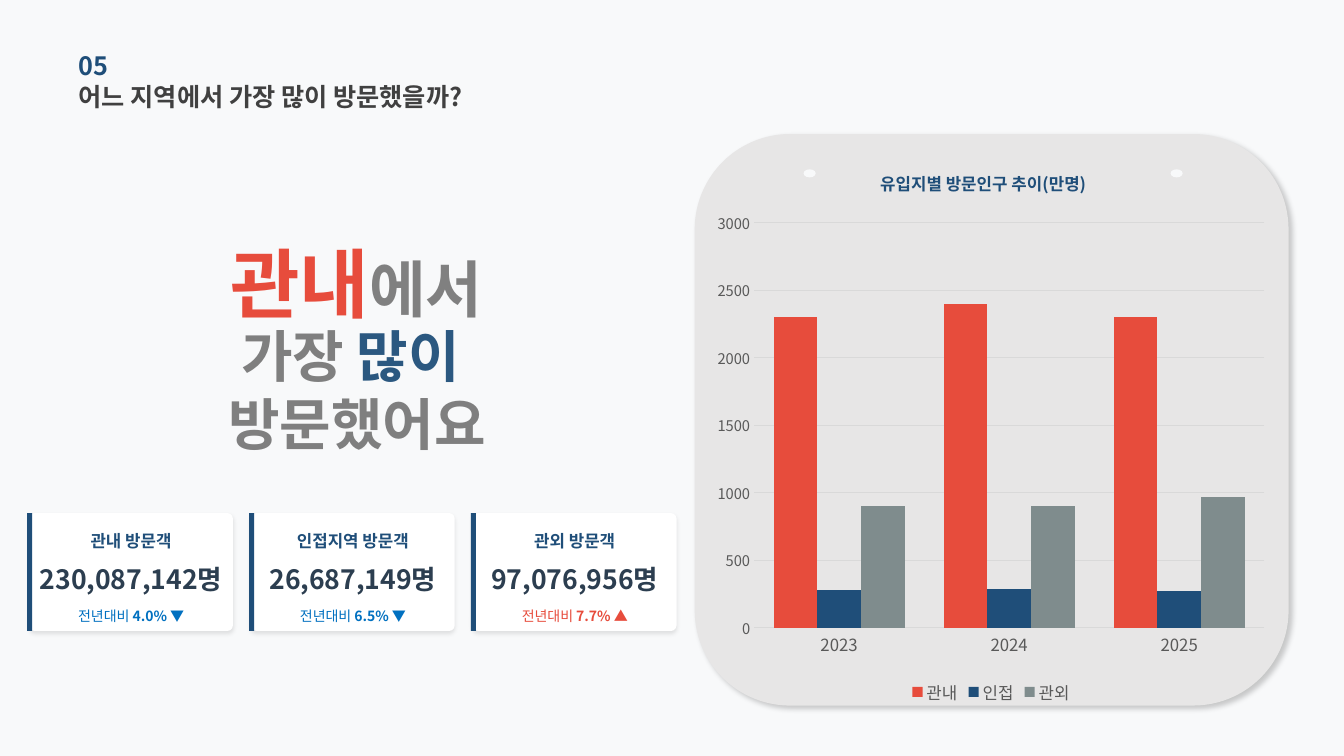
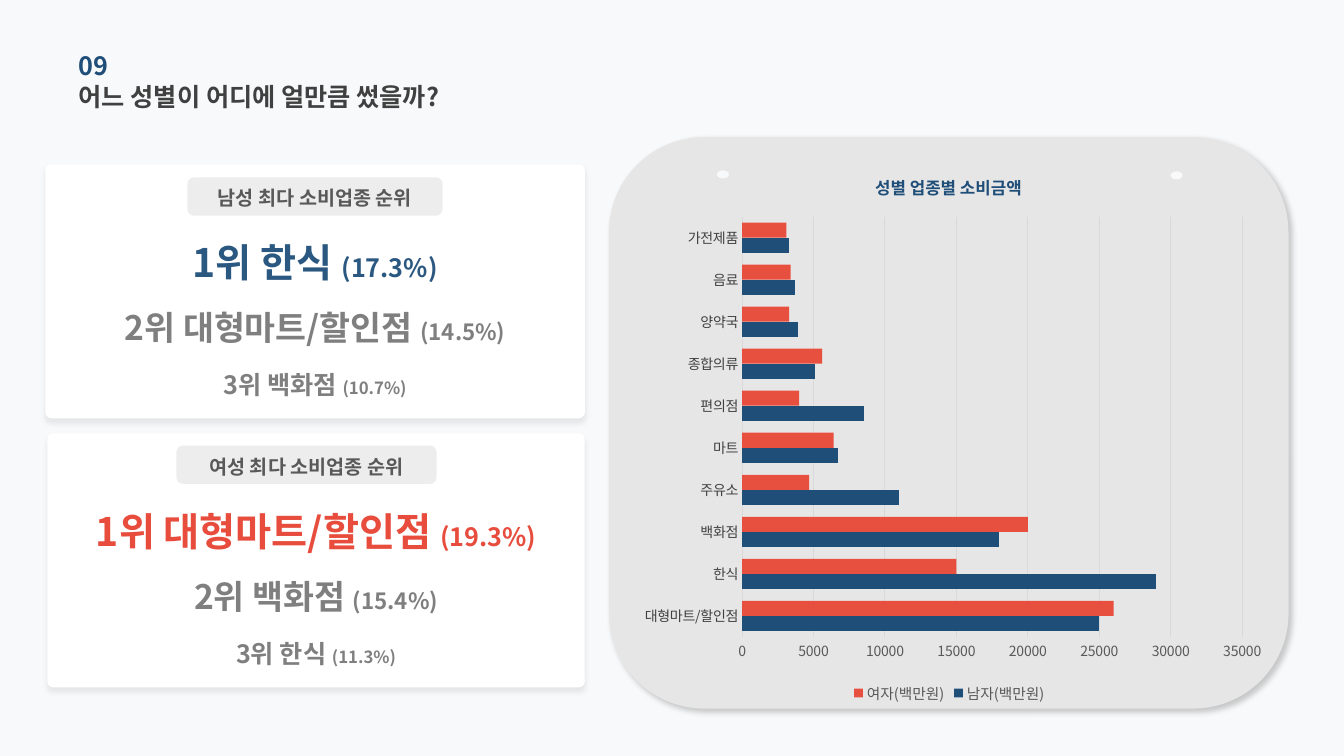
from lxml import etree
from pptx import Presentation
from pptx.chart.data import CategoryChartData
from pptx.dml.color import RGBColor
from pptx.enum.chart import XL_CHART_TYPE as ChartType, XL_LEGEND_POSITION as LegendPosition
from pptx.enum.chart import XL_TICK_MARK as TickMark
from pptx.enum.shapes import MSO_SHAPE as Preset
from pptx.enum.text import MSO_ANCHOR as Anchor, MSO_AUTO_SIZE as AutoSize, PP_ALIGN as Align
from pptx.oxml.ns import qn
from pptx.util import Inches, Pt

FONT = "Noto Sans CJK KR"
PAPER, WHITE, PANEL, PILL = "F8F9FA", "FFFFFF", "E7E6E6", "D0CECE"
NAVY, STEEL, INK, BLUE, RED = "1F4E79", "2B5880", "2C3E50", "0070C0", "E74C3C"
GRAY, MID_GRAY, DARK_GRAY, TITLE_GRAY = "7F7F7F", "808080", "595959", "404040"
SLATE, RULE = "7F8C8D", "D9D9D9"

PANEL_SHADOW = (20, 4, 3, 45)
VISITOR_SHADOW = (10, 3, 2, 90)
RANKING_SHADOW = (8, 4, 3, 90)

VISITORS = [
    ("관내 방문객", "230,087,142명", "4.0% ▼", BLUE),
    ("인접지역 방문객", "26,687,149명", "6.5% ▼", BLUE),
    ("관외 방문객", "97,076,956명", "7.7% ▲", RED),
]
HEADLINE = [
    ((1.39, 2.56, 4.29, 0.48), [[("관내", 54, RED, True), ("에서", 44, MID_GRAY, True)]]),
    ((0.78, 3.44, 5.52, 0.84), [[("가장", 40, GRAY, True), (" 많이 ", 40, STEEL, True)],
                                [("방문했어요", 40, GRAY, True)]]),
]
RANKINGS = [
    {"box": (0.45, 1.63, 5.35, 2.52), "pill": (1.86, 1.76, 2.53, 0.38), "color": STEEL,
     "heading": "남성 최다 소비업종 순위",
     "ranks": [("1위 한식 ", "(17.3%)"), ("2위 대형마트/할인점 ", "(14.5%)"), ("3위 백화점 ", "(10.7%)")]},
    {"box": (0.47, 4.3, 5.33, 2.52), "pill": (1.75, 4.42, 2.58, 0.38), "color": RED,
     "heading": "여성 최다 소비업종 순위",
     "ranks": [("1위 대형마트/할인점 ", "(19.3%)"), ("2위 백화점 ", "(15.4%)"), ("3위 한식 ", "(11.3%)")]},
]
RANK_ROWS = [(0.73, 0.48, 28, 18), (1.19, 0.84, 24, 16), (1.76, 0.84, 18, 12)]

REGION_CHART = {
    "type": ChartType.COLUMN_CLUSTERED, "box": (7, 1.48, 5.66, 5.55),
    "plot": (7.48, 2.21, 5.06, 4.02), "title": "유입지별 방문인구 추이(만명)", "title_at": (8.7, 1.64),
    "gap": 90, "axis": (3000, 500), "category_font": (12, DARK_GRAY), "value_size": 10.5, "legend_size": 12,
    "categories": ["2023", "2024", "2025"],
    "series": [("관내", [2300, 2400, 2300], RED, 100),
               ("인접", [280, 290, 270], NAVY, 100),
               ("관외", [900, 900, 970], SLATE, 100)],
}
SPENDING_CHART = {
    "type": ChartType.BAR_CLUSTERED, "box": (6.19, 1.52, 6.45, 5.5),
    "plot": (7.36, 2.15, 4.96, 4.17), "title": "성별 업종별 소비금액", "title_at": (8.65, 1.68),
    "gap": 80, "axis": (35000, 5000), "category_font": (10, TITLE_GRAY), "value_size": 10, "legend_size": 10.5,
    "categories": ["대형마트/할인점", "한식", "백화점", "주유소", "마트",
                   "편의점", "종합의류", "양약국", "음료", "가전제품"],
    "series": [("남자(백만원)", [25000, 29000, 18000, 11000, 6700, 8500, 5100, 3900, 3700, 3300], NAVY, 100),
               ("여자(백만원)", [26000, 15000, 20000, 4700, 6400, 4000, 5600, 3300, 3400, 3100], RED, 98)],
}


def rgb(color):
    return RGBColor.from_string(color)


def inches(box):
    return [Inches(value) for value in box]


def style_font(font, size, color, bold=False):
    font.size, font.bold, font.name = Pt(size), bold, FONT
    font.color.rgb = rgb(color)
    properties = font._rPr
    for old in properties.findall(qn("a:ea")):
        properties.remove(old)
    east_asian = etree.Element(qn("a:ea"), typeface=FONT)
    properties.find(qn("a:latin")).addnext(east_asian)


def paint(fill, color, opacity=100):
    fill.solid()
    fill.fore_color.rgb = rgb(color)
    if opacity < 100:
        node = fill._xPr.find(qn("a:solidFill"))[0]
        etree.SubElement(node, qn("a:alpha"), val=str(opacity * 1000))


def write(shape, lines, align=Align.CENTER):
    frame = shape.text_frame
    frame.word_wrap, frame.auto_size, frame.vertical_anchor = True, AutoSize.NONE, Anchor.MIDDLE
    frame.margin_left = frame.margin_right = frame.margin_top = frame.margin_bottom = 0
    for index, pieces in enumerate(lines):
        paragraph = frame.add_paragraph() if index else frame.paragraphs[0]
        paragraph.alignment = align
        for text, size, color, bold in pieces:
            run = paragraph.add_run()
            run.text = text
            style_font(run.font, size, color, bold)


def add_text(shapes, box, lines, align=Align.CENTER):
    write(shapes.add_textbox(*inches(box)), lines, align)


def add_block(shapes, preset, box, color, opacity=100, corner=None, shadow=None):
    shape = shapes.add_shape(preset, *inches(box))
    paint(shape.fill, color, opacity)
    shape.line.fill.background()
    shape.shadow.inherit = False
    if corner is not None:
        shape.adjustments[0] = corner
    if shadow:
        strength, blur, distance, direction = shadow
        effects = shape._element.spPr.find(qn("a:effectLst"))
        outer = etree.SubElement(effects, qn("a:outerShdw"), blurRad=str(Pt(blur)), dist=str(Pt(distance)),
                                 dir=str(direction * 60000), algn="ctr", rotWithShape="0")
        black = etree.SubElement(outer, qn("a:srgbClr"), val="000000")
        etree.SubElement(black, qn("a:alpha"), val=str(strength * 1000))
    return shape


def start_slide(presentation, number, title):
    slide = presentation.slides.add_slide(presentation.slide_layouts[5])
    heading = slide.shapes.title
    heading.left, heading.top, heading.width, heading.height = inches((0.78, 0.75, 5.28, 0.41))
    write(heading, [[(title, 18, TITLE_GRAY, True)]], Align.LEFT)
    add_text(slide.shapes, (0.78, 0.44, 4.52, 0.41), [[(number, 18, NAVY, True)]], Align.LEFT)
    return slide


def add_panel(shapes, box, holes):
    add_block(shapes, Preset.ROUNDED_RECTANGLE, box, PANEL, shadow=PANEL_SHADOW)
    for left, top in holes:
        add_block(shapes, Preset.OVAL, (left, top, 0.12, 0.08), PAPER)


def place(parent, position, values, inner=False):
    for old in parent.findall(qn("c:layout")):
        parent.remove(old)
    layout = etree.Element(qn("c:layout"))
    manual = etree.SubElement(layout, qn("c:manualLayout"))
    settings = [("layoutTarget", "inner")] if inner else []
    settings += [("xMode", "edge"), ("yMode", "edge")]
    settings += [(key, f"{value:.4f}") for key, value in zip("xywh", values)]
    for key, value in settings:
        etree.SubElement(manual, qn("c:" + key), val=value)
    parent.insert(position, layout)


def add_chart(shapes, content):
    data = CategoryChartData()
    data.categories = content["categories"]
    for name, values, _, _ in content["series"]:
        data.add_series(name, values)
    chart = shapes.add_chart(content["type"], *inches(content["box"]), data).chart
    style_font(chart.font, 10, "000000")

    plot = chart.plots[0]
    plot.gap_width, plot.overlap, plot.vary_by_categories = content["gap"], 0, False
    for series, (_, _, color, opacity) in zip(plot.series, content["series"]):
        paint(series.format.fill, color, opacity)
        series.invert_if_negative = False

    category_axis, value_axis = chart.category_axis, chart.value_axis
    value_axis.minimum_scale = 0
    value_axis.maximum_scale, value_axis.major_unit = content["axis"]
    value_axis.has_major_gridlines = True
    value_axis.format.line.fill.background()
    for line in (category_axis.format.line, value_axis.major_gridlines.format.line):
        line.color.rgb = rgb(RULE)
        line.width = Pt(0.75)
    for axis in (category_axis, value_axis):
        axis.major_tick_mark = axis.minor_tick_mark = TickMark.NONE
    style_font(category_axis.tick_labels.font, *content["category_font"])
    style_font(value_axis.tick_labels.font, content["value_size"], DARK_GRAY)

    chart.has_legend = True
    chart.legend.position = LegendPosition.BOTTOM
    chart.legend.include_in_layout = False
    style_font(chart.legend.font, content["legend_size"], DARK_GRAY)

    chart.has_title = True
    frame = chart.chart_title.text_frame
    frame.text = content["title"]
    style_font(frame.paragraphs[0].runs[0].font, 12, NAVY, True)

    left, top, width, height = content["box"]
    x, y, plot_width, plot_height = content["plot"]
    title_x, title_y = content["title_at"]
    space = chart._chartSpace
    place(space.find(".//" + qn("c:plotArea")), 0,
          ((x - left) / width, (y - top) / height, plot_width / width, plot_height / height), inner=True)
    place(space.find(".//" + qn("c:title")), 1, ((title_x - left) / width, (title_y - top) / height))


def add_visitor_card(shapes, left, label, count, change, color):
    top, width, height = 5.09, 2.02, 1.17
    add_block(shapes, Preset.ROUNDED_RECTANGLE, (left, top, width, height), WHITE,
              corner=0.048, shadow=VISITOR_SHADOW)
    add_block(shapes, Preset.RECTANGLE, (left - 0.02, top, 0.05, height), NAVY)
    rows = [
        (0.16, 0.22, [(label, 12, NAVY, True)]),
        (0.48, 0.34, [(count, 19, INK, True)]),
        (0.92, 0.2, [("전년대비 ", 10, color, False), (change, 10, color, True)]),
    ]
    for offset, row_height, pieces in rows:
        add_text(shapes, (left, top + offset, width, row_height), [pieces])


def add_ranking_card(shapes, card):
    left, top, width, _ = card["box"]
    add_block(shapes, Preset.ROUNDED_RECTANGLE, card["box"], WHITE, corner=0.023, shadow=RANKING_SHADOW)
    colors = (card["color"], GRAY, GRAY)
    for (name, share), (offset, height, size, share_size), color in zip(card["ranks"], RANK_ROWS, colors):
        add_text(shapes, (left, top + offset, width, height),
                 [[(name, size, color, True), (share, share_size, color, True)]])
    pill = add_block(shapes, Preset.ROUNDED_RECTANGLE, card["pill"], PILL, opacity=36)
    write(pill, [[(card["heading"], 14, DARK_GRAY, True)]])
    pill.text_frame.margin_top = Inches(0.03)


def build_region_slide(presentation):
    shapes = start_slide(presentation, "05", "어느 지역에서 가장 많이 방문했을까?").shapes
    add_panel(shapes, (6.89, 1.33, 5.89, 5.67), [(7.97, 1.68), (11.61, 1.68)])
    for box, lines in HEADLINE:
        add_text(shapes, box, lines)
    for index, visitor in enumerate(VISITORS):
        add_visitor_card(shapes, 0.29 + 2.2 * index, *visitor)
    add_chart(shapes, REGION_CHART)


def build_spending_slide(presentation):
    shapes = start_slide(presentation, "09", "어느 성별이 어디에 얼만큼 썼을까?").shapes
    add_panel(shapes, (6.04, 1.36, 6.74, 5.67), [(7.11, 1.69), (11.61, 1.7)])
    for card in RANKINGS:
        add_ranking_card(shapes.add_group_shape().shapes, card)
    add_chart(shapes, SPENDING_CHART)


def main():
    presentation = Presentation()
    presentation.slide_width, presentation.slide_height = Inches(13.33), Inches(7.5)
    paint(presentation.slide_master.background.fill, PAPER)
    build_region_slide(presentation)
    build_spending_slide(presentation)
    presentation.save("out.pptx")


if __name__ == "__main__":
    main()
